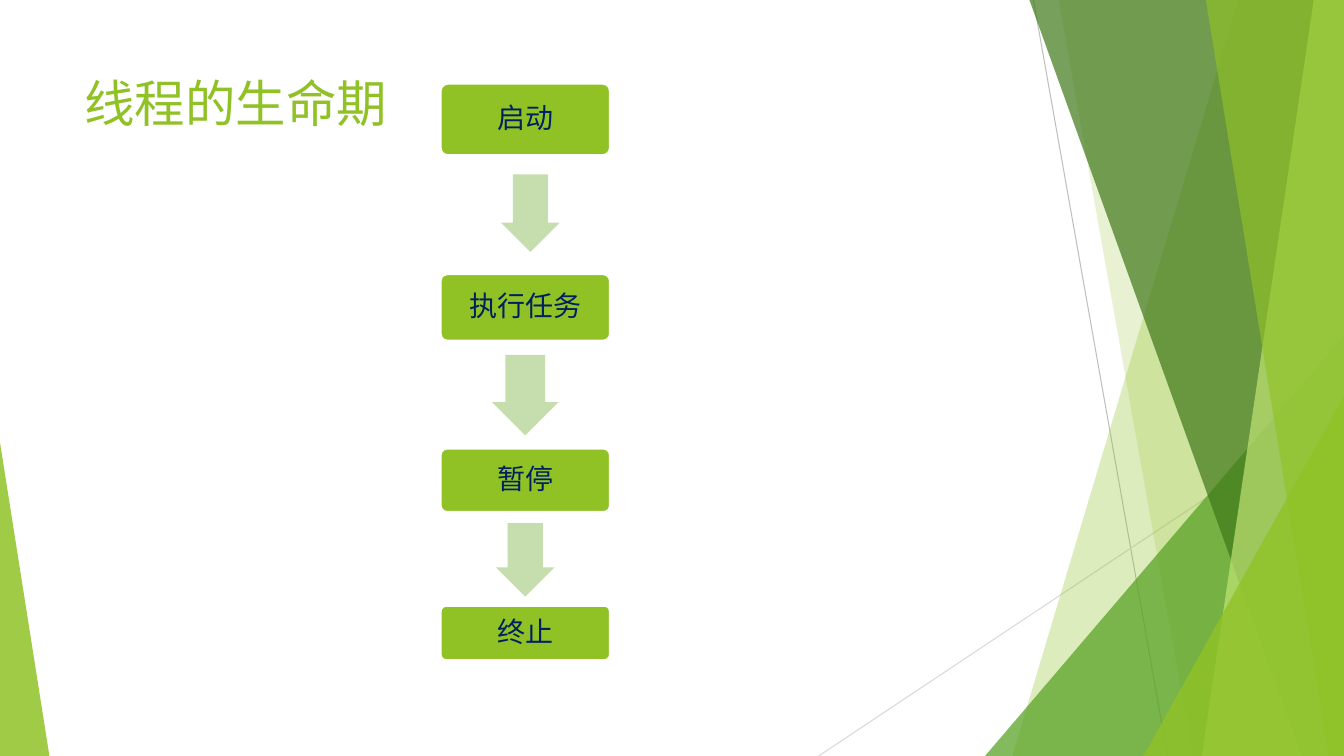
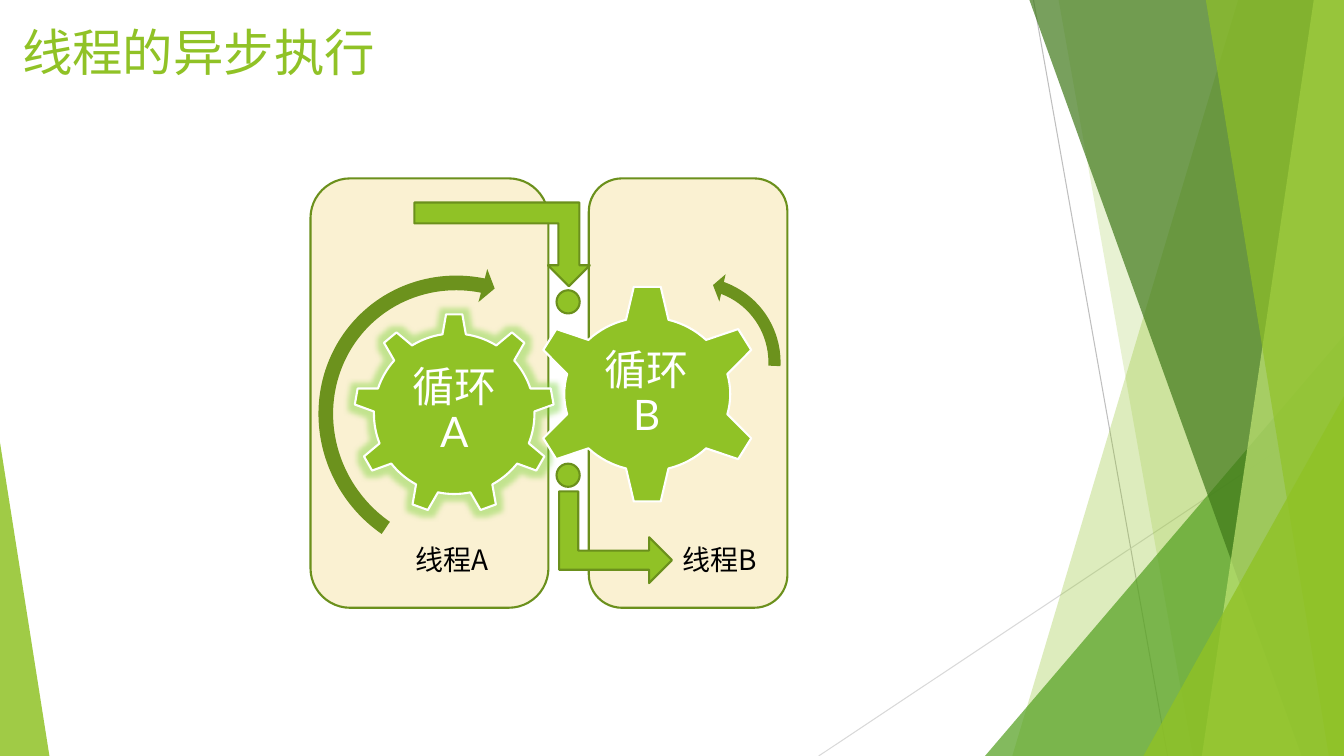
from lxml import etree
from pptx import Presentation
from pptx.dml.color import RGBColor
from pptx.enum.shapes import MSO_CONNECTOR, MSO_SHAPE as S
from pptx.enum.text import MSO_ANCHOR, PP_ALIGN
from pptx.oxml.ns import qn
from pptx.util import Pt

EMU_PER_PX = 9144
WIDTH, HEIGHT = 1333, 750

LIME = RGBColor(0x90, 0xC2, 0x26)
GREEN = RGBColor(0x54, 0xA0, 0x21)
FOREST = RGBColor(0x3F, 0x78, 0x19)
PALE_LIME = RGBColor(0xC0, 0xE4, 0x74)
SAGE = RGBColor(0xC6, 0xDD, 0xAD)
OLIVE = RGBColor(0x6B, 0x90, 0x1C)
SWEEP = RGBColor(0x6C, 0x92, 0x1D)
GLOW = RGBColor(0x6F, 0xD0, 0x2A)
CREAM = RGBColor(0xFA, 0xF1, 0xD2)
NAVY = RGBColor(0x00, 0x20, 0x60)
GREY = RGBColor(0xBF, 0xBF, 0xBF)
LIGHT_GREY = RGBColor(0xD9, 0xD9, 0xD9)
WHITE = RGBColor(0xFF, 0xFF, 0xFF)
BLACK = RGBColor(0, 0, 0)

LATIN, HAN = "Lato", "Noto Sans CJK SC"

RAYS = [((1025, 0), (1158, HEIGHT), GREY), ((WIDTH, 403), (812, HEIGHT), LIGHT_GREY)]
BANDS = [
    ("ribbon", 1228, 1004, LIME, 30),
    ("ribbon", 1050, 1183, LIME, 20),
    ("wedge", (977, 333, 356, 417), 1, GREEN, 72),
    ("ribbon", 1021, 1291, FOREST, 70),
    ("ribbon", 1303, 1192, PALE_LIME, 70),
    ("ribbon", 1196, 1318, LIME, 65),
    ("wedge", (1134, 393, 199, 357), 1, LIME, 80),
    ("wedge", (0, 439, 49, 311), 0, LIME, 85),
]

LIFE_TITLE = ("线程的生命期", (74, 67, 328, 80))
STAGE_LEFT, STAGE_WIDTH = 437, 168
STAGES = [("启动", 83, 71), ("执行任务", 272, 66), ("暂停", 445, 63), ("终止", 601, 54)]
STEPS = [(497, 173, 58, 77), (488, 352, 66, 80), (492, 519, 58, 73)]

ASYNC_TITLE = ("线程的异步执行", (12, 16, 422, 77))
PANELS = [(584, 177, 197, 426), (308, 177, 236, 426)]
GEARS = [
    (S.GEAR_9, (351, 311, 199, 199), "循环A", (391, 357, 119, 102), True),
    (S.GEAR_6, (527, 282, 230, 218), "循环B", (583, 337, 117, 108), False),
]
SWEEPS = [
    (S.CIRCULAR_ARROW, (304, 266, 305, 297), 228.6, (4.9, 312.6, 3066.9, 15327.7, 5.7)),
    (S.LEFT_CIRCULAR_ARROW, (597, 267, 185, 185), 115.3, (6.5, 430, 10489.1, 14837.8, 7.5)),
]
HANDOVERS = [((565, 477, 91, 112), 90, (20.9, 25, 25), False),
             ((411, 201, 174, 83), 0, (25, 25, 25), True)]
DOT_LEFT, DOT_SIZE, DOT_TOPS = 552, 23, (288, 460)
THREADS = [("线程B", (667, 533, 94, 44)), ("线程A", (402, 533, 96, 44))]


def px(value):
    return round(value * EMU_PER_PX)


def paint(shape, fill, line=None, alpha=None):
    shape.shadow.inherit = False
    shape.fill.solid()
    shape.fill.fore_color.rgb = fill
    if alpha:
        color = shape.element.spPr.find(qn("a:solidFill"))[0]
        etree.SubElement(color, qn("a:alpha"), val=str(alpha * 1000))
    if line is None:
        shape.line.fill.background()
    else:
        shape.line.color.rgb = line
        shape.line.width = Pt(1.5)
    return shape


def add_preset(slide, kind, box, fill, line=None, percents=(), rotation=0, alpha=None):
    shape = slide.shapes.add_shape(kind, *map(px, box))
    for index, percent in enumerate(percents):
        shape.adjustments[index] = percent / 100
    shape.rotation = rotation
    return paint(shape, fill, line, alpha)


def write(shape, text, size, color, latin, align=PP_ALIGN.LEFT,
          anchor=MSO_ANCHOR.TOP, inset=None, spacing=None):
    frame = shape.text_frame
    frame.word_wrap = True
    frame.vertical_anchor = anchor
    if inset is not None:
        frame.margin_left = frame.margin_right = px(inset)
        frame.margin_top = frame.margin_bottom = px(inset)
    paragraph = frame.paragraphs[0]
    paragraph.text = text
    paragraph.alignment = align
    if spacing:
        paragraph.line_spacing = spacing
    font = paragraph.font
    font.size = Pt(size)
    font.color.rgb = color
    font.name = latin
    defaults = paragraph._p.pPr.find(qn("a:defRPr"))
    etree.SubElement(defaults, qn("a:ea"), typeface=HAN)


def write_centred(shape, text, size, color, latin, inset):
    write(shape, text, size, color, latin, PP_ALIGN.CENTER, MSO_ANCHOR.MIDDLE, inset, 0.9)


def add_text_box(slide, box):
    return slide.shapes.add_textbox(*map(px, box))


def add_glow(shape):
    effects = shape.element.spPr.find(qn("a:effectLst"))
    glow = etree.SubElement(effects, qn("a:glow"), rad=str(Pt(8)))
    color = etree.SubElement(glow, qn("a:srgbClr"), val=str(GLOW))
    etree.SubElement(color, qn("a:alpha"), val="40000")


def add_ribbon(slide, top_x, bottom_x, color, alpha):
    outline = slide.shapes.build_freeform(top_x, 0, EMU_PER_PX)
    outline.add_line_segments([(WIDTH, 0), (WIDTH, HEIGHT), (bottom_x, HEIGHT)])
    paint(outline.convert_to_shape(), color, alpha=alpha)


def start_slide(deck, title):
    slide = deck.slides.add_slide(deck.slide_layouts[6])
    for start, end, color in RAYS:
        ray = slide.shapes.add_connector(MSO_CONNECTOR.STRAIGHT, *map(px, start + end))
        ray.line.color.rgb = color
        ray.line.width = Pt(0.75)
        etree.SubElement(ray.element.spPr, qn("a:effectLst"))
    for kind, place, tip, color, alpha in BANDS:
        if kind == "ribbon":
            add_ribbon(slide, place, tip, color, alpha)
        else:
            add_preset(slide, S.ISOSCELES_TRIANGLE, place, color,
                       percents=(tip * 100,), alpha=alpha)
    text, box = title
    write(add_text_box(slide, box), text, 36, LIME, LATIN)
    return slide


def build_life_cycle(deck):
    slide = start_slide(deck, LIFE_TITLE)
    for text, top, height in STAGES:
        stage = add_preset(slide, S.ROUNDED_RECTANGLE, (STAGE_LEFT, top, STAGE_WIDTH, height),
                           LIME, WHITE, (10,))
        write_centred(stage, text, 20, NAVY, HAN, 8)
    for box in STEPS:
        add_preset(slide, S.DOWN_ARROW, box, SAGE, percents=(60, 50))


def build_async_run(deck):
    slide = start_slide(deck, ASYNC_TITLE)
    for box in PANELS:
        add_preset(slide, S.ROUNDED_RECTANGLE, box, CREAM, OLIVE)
    for kind, box, text, text_box, glowing in GEARS:
        gear = add_preset(slide, kind, box, LIME, WHITE)
        if glowing:
            add_glow(gear)
        write_centred(add_text_box(slide, text_box), text, 30, WHITE, LATIN, 4)
    for kind, box, rotation, percents in SWEEPS:
        add_preset(slide, kind, box, SWEEP, percents=percents, rotation=rotation)
    for box, rotation, percents, flipped in HANDOVERS:
        handover = add_preset(slide, S.BENT_UP_ARROW, box, LIME, OLIVE, percents, rotation)
        if flipped:
            handover.element.spPr.find(qn("a:xfrm")).set("flipV", "1")
    for top in DOT_TOPS:
        add_preset(slide, S.OVAL, (DOT_LEFT, top, DOT_SIZE, DOT_SIZE), LIME, OLIVE)
    for text, box in THREADS:
        write(add_text_box(slide, box), text, 20, BLACK, HAN)


def main():
    deck = Presentation()
    deck.slide_width, deck.slide_height = px(WIDTH), px(HEIGHT)
    build_life_cycle(deck)
    build_async_run(deck)
    deck.save("out.pptx")


if __name__ == "__main__":
    main()
